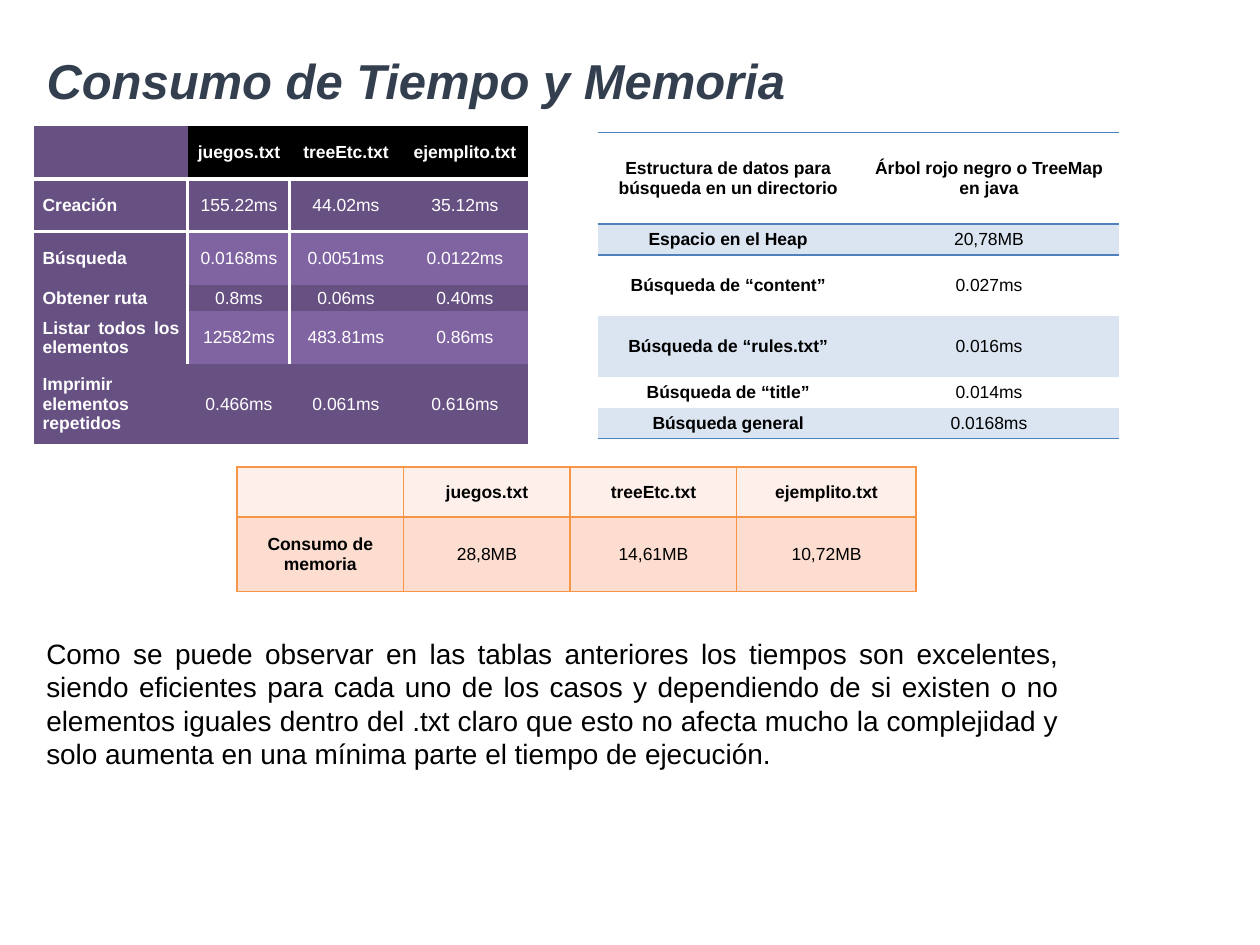
"""Build a slide with time and memory consumption tables."""
from lxml import etree
from pptx import Presentation
from pptx.dml.color import RGBColor
from pptx.enum.text import MSO_ANCHOR, PP_ALIGN
from pptx.oxml.ns import qn
from pptx.util import Pt

LEFT, CENTER, JUSTIFY = PP_ALIGN.LEFT, PP_ALIGN.CENTER, PP_ALIGN.JUSTIFY
MIDDLE = MSO_ANCHOR.MIDDLE
NO_STYLE = "{2D5ABB26-0587-4C30-8999-92F81FD0307C}"
FONT = "Arial"

BLACK = RGBColor(0x00, 0x00, 0x00)
WHITE = RGBColor(0xFF, 0xFF, 0xFF)
SLATE = RGBColor(0x33, 0x3F, 0x4F)
DARK_PURPLE = RGBColor(0x67, 0x50, 0x82)
PURPLE = RGBColor(0x80, 0x64, 0xA2)
BLUE = RGBColor(0x4F, 0x81, 0xBD)
PALE_BLUE = RGBColor(0xDB, 0xE5, 0xF1)
ORANGE = RGBColor(0xF7, 0x96, 0x46)
PALE_ORANGE = RGBColor(0xFD, 0xEF, 0xE9)
LIGHT_ORANGE = RGBColor(0xFC, 0xDD, 0xCF)

FILES = ["juegos.txt", "treeEtc.txt", "ejemplito.txt"]
TIMES = [
    [""] + FILES,
    ["Creación", "155.22ms", "44.02ms", "35.12ms"],
    ["Búsqueda", "0.0168ms", "0.0051ms", "0.0122ms"],
    ["Obtener ruta", "0.8ms", "0.06ms", "0.40ms"],
    ["Listar todos los elementos", "12582ms", "483.81ms", "0.86ms"],
    ["Imprimir elementos repetidos", "0.466ms", "0.061ms", "0.616ms"],
]
SEARCHES = [
    ["Estructura de datos para búsqueda en un directorio",
     "Árbol rojo negro o TreeMap en java"],
    ["Espacio en el Heap", "20,78MB"],
    ["Búsqueda de “content”", "0.027ms"],
    ["Búsqueda de “rules.txt”", "0.016ms"],
    ["Búsqueda de “title”", "0.014ms"],
    ["Búsqueda general", "0.0168ms"],
]
MEMORY = [[""] + FILES, ["Consumo de memoria", "28,8MB", "14,61MB", "10,72MB"]]
CONCLUSION = (
    "Como se puede observar en las tablas anteriores los tiempos son excelentes, "
    "siendo eficientes para cada uno de los casos y dependiendo de si existen o no "
    "elementos iguales dentro del .txt claro que esto no afecta mucho la complejidad "
    "y solo aumenta en una mínima parte el tiempo de ejecución."
)


def add_grid(s, left, top, widths, heights, data, color):
    table = s.shapes.add_table(len(heights), len(widths), Pt(left), Pt(top),
                               Pt(sum(widths)), Pt(sum(heights))).table
    table._tbl.tblPr.find(qn("a:tableStyleId")).text = NO_STYLE
    table.horz_banding = False
    for column, width in zip(table.columns, widths):
        column.width = Pt(width)
    for i, (row, height) in enumerate(zip(table.rows, heights)):
        row.height = Pt(height)
        for j, cell in enumerate(row.cells):
            cell.text = data[i][j]
            cell.vertical_anchor = MIDDLE
            cell.margin_left = cell.margin_right = Pt(5)
            cell.margin_top = cell.margin_bottom = 0
            p = cell.text_frame.paragraphs[0]
            p.alignment = CENTER
            p.font.name, p.font.size = FONT, Pt(10)
            p.font.bold = i == 0 or j == 0
            p.font.color.rgb = color
    return table


def add_borders(cell, sides, color, width):
    for side in sides:
        ln = etree.SubElement(cell._tc.get_or_add_tcPr(), qn(f"a:ln{side}"), w=str(Pt(width)))
        fill = etree.SubElement(ln, qn("a:solidFill"))
        etree.SubElement(fill, qn("a:srgbClr"), val=str(color))


prs = Presentation()
prs.slide_width, prs.slide_height = Pt(720), Pt(540)
s = prs.slides.add_slide(prs.slide_layouts[5])

title = s.shapes.title
title.left, title.top, title.width, title.height = Pt(19.4), Pt(23.8), Pt(620.6), Pt(48.2)
title.text_frame.text = "Consumo de Tiempo y Memoria"
title.text_frame.vertical_anchor = MIDDLE
p = title.text_frame.paragraphs[0]
p.alignment, p.line_spacing = LEFT, 0.9
p.font.name, p.font.size = FONT, Pt(28)
p.font.bold = p.font.italic = True
p.font.color.rgb = SLATE

times = add_grid(s, 19.4, 72, [88, 58.3, 64, 72],
                 [30.3, 30.3, 30.3, 15.15, 30.3, 45.45], TIMES, WHITE)
last = len(TIMES) - 1
for i, row in enumerate(times.rows):
    for j, cell in enumerate(row.cells):
        if j == 0 and 0 < i < last:
            add_borders(cell, "R", WHITE, 2)
        if j == 1 and 0 < i < last:
            add_borders(cell, "L", WHITE, 2)
        if i == 1:
            add_borders(cell, "T", WHITE, 2)
        if i == 0:
            add_borders(cell, "B", WHITE, 2)
        cell.fill.solid()
        if j == 0:
            cell.fill.fore_color.rgb = DARK_PURPLE
            cell.text_frame.paragraphs[0].alignment = JUSTIFY
        elif i == 0:
            cell.fill.fore_color.rgb = BLACK
        else:
            cell.fill.fore_color.rgb = DARK_PURPLE if i % 2 else PURPLE

searches = add_grid(s, 341.5, 75.6, [149.1, 149.1],
                    [52.5, 17.5, 35, 35, 17.5, 17.5], SEARCHES, BLACK)
shaded = (1, 3, 5)
for i, row in enumerate(searches.rows):
    for cell in row.cells:
        add_borders(cell, {0: "TB", 1: "T", last: "B"}.get(i, ""), BLUE, 1)
        if i in shaded:
            cell.fill.solid()
            cell.fill.fore_color.rgb = PALE_BLUE
        else:
            cell.fill.background()

memory = add_grid(s, 135.4, 267, [95.2, 95.2, 95.2, 102.6], [28.4, 42.8], MEMORY, BLACK)
for row, color in zip(memory.rows, (PALE_ORANGE, LIGHT_ORANGE)):
    for cell in row.cells:
        add_borders(cell, "LRTB", ORANGE, 1)
        cell.fill.solid()
        cell.fill.fore_color.rgb = color

conclusion = s.shapes.add_textbox(Pt(19.4), Pt(360), Pt(592.6), Pt(85))
tf = conclusion.text_frame
tf.word_wrap = True
tf.text = CONCLUSION
p = tf.paragraphs[0]
p.alignment = JUSTIFY
p.font.name, p.font.size = FONT, Pt(16)
p.font.color.rgb = BLACK

prs.save("out.pptx")
